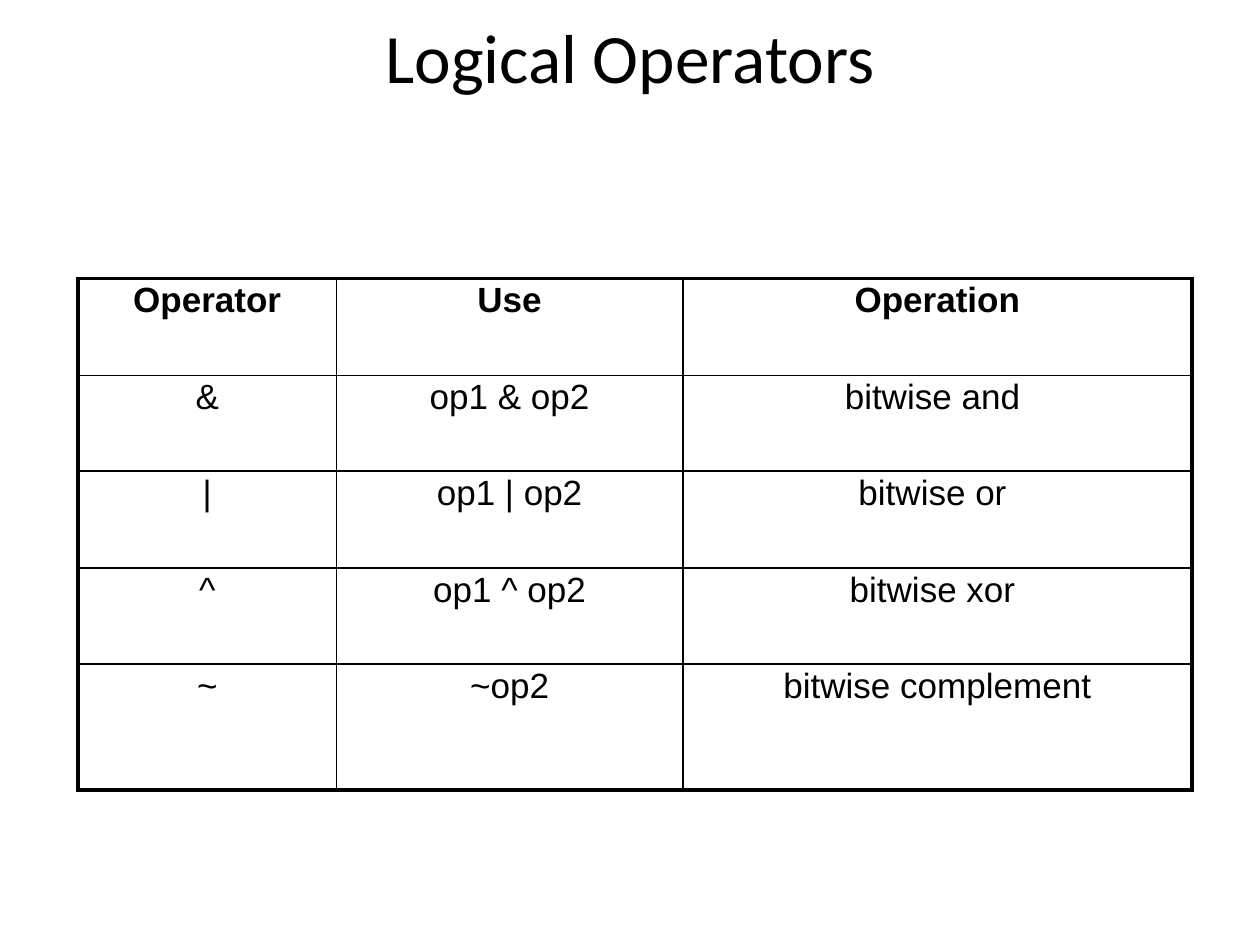
from pptx import Presentation
from pptx.dml.color import RGBColor
from pptx.enum.text import MSO_ANCHOR as Anchor, PP_ALIGN as Align
from pptx.oxml import parse_xml
from pptx.oxml.ns import nsdecls
from pptx.util import Inches, Pt

BLACK = RGBColor(0x00, 0x00, 0x00)
WHITE = RGBColor(0xFF, 0xFF, 0xFF)
INNER_WIDTH, OUTER_WIDTH = 1, 2.25

COLUMN_WIDTHS = (2.05, 2.75, 4.04)
ROW_HEIGHTS = (0.77, 0.76, 0.77, 0.76, 1)
OPERATORS = (
    ("Operator", "Use", "Operation"),
    ("&", "op1 & op2", "bitwise and "),
    ("|", "op1 | op2", "bitwise or "),
    ("^", "op1 ^ op2", "bitwise xor "),
    ("~", "~op2", "bitwise complement"),
)


def write_text(frame, text, font="Arial", size=20, bold=False, color=BLACK,
               align=Align.CENTER, line_spacing=0.9):
    paragraph = frame.paragraphs[0]
    paragraph.alignment = align
    paragraph.line_spacing = line_spacing
    paragraph.space_before = Pt(0)
    run = paragraph.add_run()
    run.text = text
    run.font.name = font
    run.font.size = Pt(size)
    run.font.bold = bold
    run.font.color.rgb = color


def set_border(cell, side, width, color=BLACK):
    line = parse_xml(
        f'<a:{side} {nsdecls("a")} w="{Pt(width)}"><a:solidFill>'
        f'<a:srgbClr val="{color}"/></a:solidFill></a:{side}>')
    cell._tc.get_or_add_tcPr().append(line)


class SlideBuilder:
    def __init__(self, presentation, layout_index):
        layout = presentation.slide_layouts[layout_index]
        self.slide = presentation.slides.add_slide(layout)
        self.slide.background.fill.solid()
        self.slide.background.fill.fore_color.rgb = WHITE

    def title(self, text, left, top, width, height):
        shape = self.slide.shapes.title
        shape.left, shape.top = Inches(left), Inches(top)
        shape.width, shape.height = Inches(width), Inches(height)
        shape.text_frame.vertical_anchor = Anchor.MIDDLE
        write_text(shape.text_frame, text, font="Calibri", size=39.6,
                   line_spacing=1)

    def table(self, rows, left, top, column_widths, row_heights):
        last_row, last_column = len(rows) - 1, len(column_widths) - 1
        table = self.slide.shapes.add_table(
            len(rows), len(column_widths), Inches(left), Inches(top),
            Inches(sum(column_widths)), Inches(sum(row_heights))).table
        table.horz_banding = False
        for column, width in zip(table.columns, column_widths):
            column.width = Inches(width)
        for row, height in zip(table.rows, row_heights):
            row.height = Inches(height)
        for i, row in enumerate(rows):
            for j, text in enumerate(row):
                cell = table.cell(i, j)
                write_text(cell.text_frame, text, bold=i == 0)
                # The frame is heavy, the inner grid is thin
                edges = {"lnL": j == 0, "lnR": j == last_column,
                         "lnT": i == 0, "lnB": i == last_row}
                for side, is_outer in edges.items():
                    set_border(cell, side,
                               OUTER_WIDTH if is_outer else INNER_WIDTH)
                cell.fill.background()


presentation = Presentation()
presentation.slide_width = Inches(10)
presentation.slide_height = Inches(7.5)

# Title and operator table
builder = SlideBuilder(presentation, layout_index=5)
builder.title("Logical Operators", 0, 0.14, 10, 0.6)
builder.table(OPERATORS, 0.62, 2.21, COLUMN_WIDTHS, ROW_HEIGHTS)

presentation.save("out.pptx")
